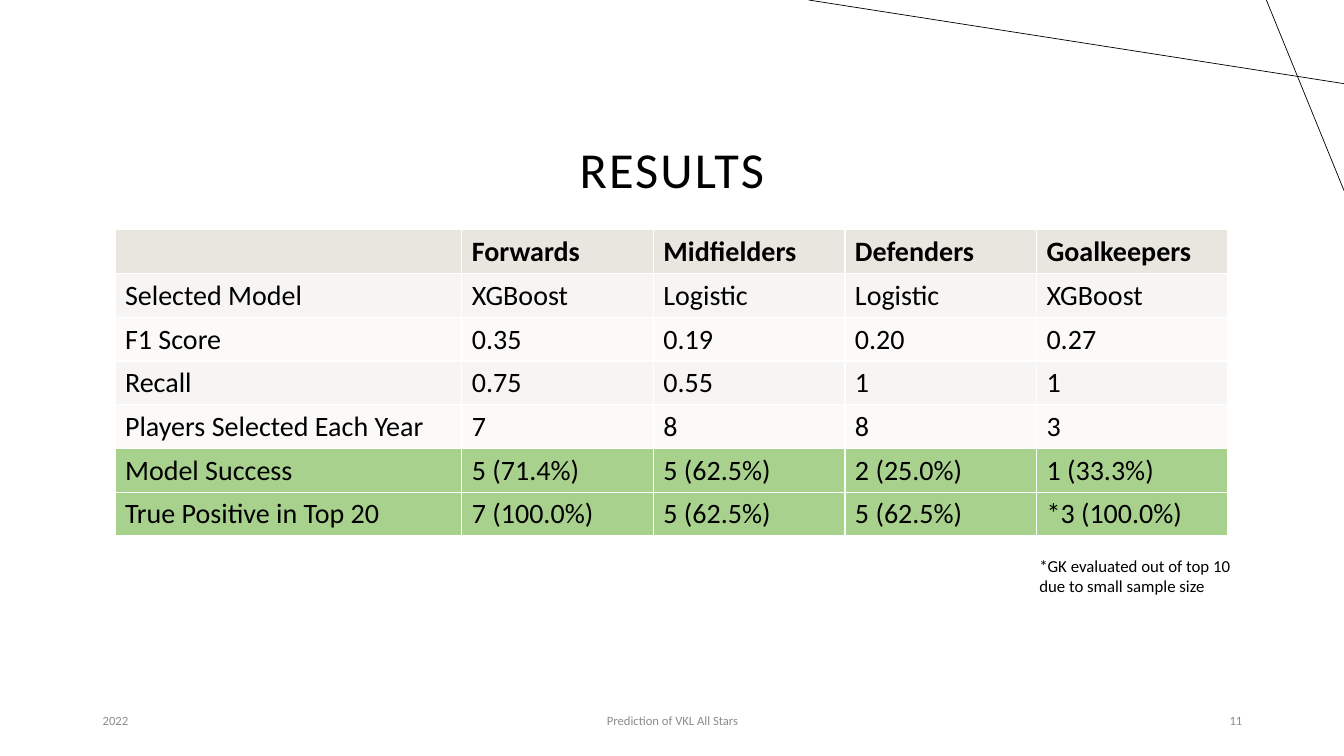
"""Build the results slide with its model comparison table."""
from lxml import etree
from pptx import Presentation
from pptx.dml.color import RGBColor
from pptx.enum.shapes import MSO_CONNECTOR as Connector
from pptx.enum.text import MSO_ANCHOR as Anchor, PP_ALIGN as Align
from pptx.oxml.ns import qn
from pptx.util import Inches, Pt

BLACK = RGBColor(0x00, 0x00, 0x00)
GREY = RGBColor(0x8C, 0x8C, 0x8C)
HEADER = RGBColor(0xE9, 0xE6, 0xDF)
BAND_DARK = RGBColor(0xF7, 0xF5, 0xF3)
BAND_LIGHT = RGBColor(0xFB, 0xFA, 0xF9)
GREEN = RGBColor(0xA9, 0xD1, 0x8E)

RESULTS = [
    (HEADER, ["", "Forwards", "Midfielders", "Defenders", "Goalkeepers"]),
    (BAND_DARK, ["Selected Model", "XGBoost", "Logistic", "Logistic", "XGBoost"]),
    (BAND_LIGHT, ["F1 Score", "0.35", "0.19", "0.20", "0.27"]),
    (BAND_DARK, ["Recall", "0.75", "0.55", "1", "1"]),
    (BAND_LIGHT, ["Players Selected Each Year", "7", "8", "8", "3"]),
    (GREEN, ["Model Success", "5 (71.4%)", "5 (62.5%)", "2 (25.0%)", "1 (33.3%)"]),
    (GREEN, ["True Positive in Top 20", "7 (100.0%)", "5 (62.5%)", "5 (62.5%)", "*3 (100.0%)"]),
]
COLUMN_WIDTHS = [3.44, 1.9, 1.9, 1.9, 1.9]
ROW_HEIGHT = 0.43


def style_paragraph(para, size, color=BLACK, bold=False, align=Align.LEFT):
    para.alignment = align
    para.font.name = "Calibri"
    para.font.size = Pt(size)
    para.font.bold = bold
    para.font.color.rgb = color


def add_line(slide, start, end):
    line = slide.shapes.add_connector(Connector.STRAIGHT, *map(Inches, start + end))
    line.line.color.rgb = BLACK
    line.line.width = Pt(0.5)
    etree.SubElement(line._element.spPr, qn("a:effectLst"))


def set_title(slide, text):
    title = slide.shapes.title
    title.left, title.top = Inches(2.06), Inches(0.98)
    title.width, title.height = Inches(9.21), Inches(1.45)
    title.text_frame.text = text
    title.text_frame.vertical_anchor = Anchor.MIDDLE
    para = title.text_frame.paragraphs[0]
    style_paragraph(para, 36, align=Align.CENTER)
    para.line_spacing = 0.9
    para.runs[0]._r.get_or_add_rPr().set("spc", "150")


def add_text(slide, text, bounds, size, color=BLACK, align=Align.LEFT, anchor=Anchor.TOP):
    box = slide.shapes.add_textbox(*map(Inches, bounds))
    frame = box.text_frame
    frame.word_wrap = True
    frame.vertical_anchor = anchor
    frame.text = text
    style_paragraph(frame.paragraphs[0], size, color, align=align)


def add_results_table(slide):
    bounds = (1.14, 2.28, sum(COLUMN_WIDTHS), ROW_HEIGHT * len(RESULTS))
    table = slide.shapes.add_table(len(RESULTS), len(COLUMN_WIDTHS), *map(Inches, bounds)).table
    for column, width in zip(table.columns, COLUMN_WIDTHS):
        column.width = Inches(width)
    for row, (fill, values) in zip(table.rows, RESULTS):
        row.height = Inches(ROW_HEIGHT)
        for cell, value in zip(row.cells, values):
            cell.fill.solid()
            cell.fill.fore_color.rgb = fill
            cell.text = value
            style_paragraph(cell.text_frame.paragraphs[0], 20, bold=fill == HEADER)


def main():
    deck = Presentation()
    deck.slide_width, deck.slide_height = Inches(13.33), Inches(7.5)
    slide = deck.slides.add_slide(deck.slide_layouts[5])
    add_line(slide, (13.33, 0.83), (8.02, 0))
    add_line(slide, (12.56, 0), (13.33, 1.89))
    set_title(slide, "RESULTS")
    for text, left, width, align in [
        ("2022", 0.92, 3, Align.LEFT),
        ("Prediction of VKL All Stars", 4.42, 4.5, Align.CENTER),
        ("11", 9.42, 3, Align.RIGHT),
    ]:
        add_text(slide, text, (left, 6.95, width, 0.4), 9, GREY, align, Anchor.MIDDLE)
    add_results_table(slide)
    add_text(slide, "*GK evaluated out of top 10 due to small sample size",
             (10.21, 5.46, 2.21, 0.5), 12)
    deck.save("out.pptx")


if __name__ == "__main__":
    main()
